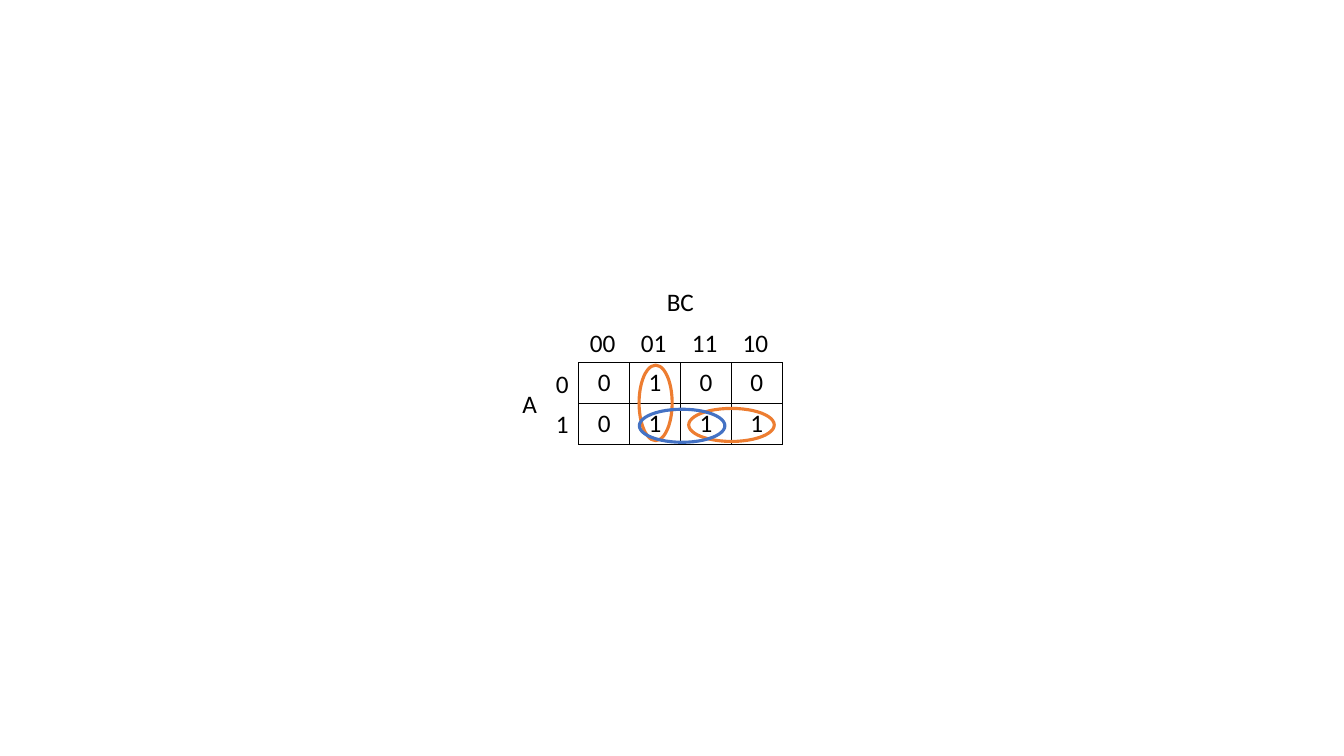
from lxml import etree
from pptx import Presentation
from pptx import util as u
from pptx.dml.color import RGBColor
from pptx.enum import shapes, text
from pptx.oxml.ns import qn

COLORS = {"ink": "000000", "orange": "ED7D31", "blue": "4472C4"}
FONT = "Calibri"
COL, ROW = 0.505, 0.405
MAP_LEFT, MAP_TOP = 5.74, 3.6
BC_CODES = ["00", "01", "11", "10"]
A_CODES = ["0", "1"]
OUTPUTS = ["0100", "0111"]
GROUPS = [
    (1.51, 0.98, 0.65, 1.85, "orange"),
    (3.0, 1.52, 1.68, 0.81, "orange"),
    (2.03, 1.54, 1.68, 0.81, "blue"),
]


def style(frame, words):
    frame.text = words
    paragraph = frame.paragraphs[0]
    paragraph.alignment = text.PP_ALIGN.CENTER
    font = paragraph.runs[0].font
    font.name, font.size = FONT, u.Pt(18)
    font.color.rgb = RGBColor.from_string(COLORS["ink"])


def grid_box(box, col, row, cols, rows):
    left, top = box
    return [u.Inches(n) for n in
            (left + col * COL, top + row * ROW, cols * COL, rows * ROW)]


def add_label(slide, box, words, col, row, cols):
    label = slide.shapes.add_textbox(*grid_box(box, col, row, cols, 1))
    label.text_frame.word_wrap = False
    style(label.text_frame, words)


def border_cell(cell):
    properties = cell._tc.get_or_add_tcPr()
    for position, side in enumerate(("a:lnL", "a:lnR", "a:lnT", "a:lnB")):
        line = etree.Element(qn(side), w=str(u.Pt(1)))
        fill = etree.SubElement(line, qn("a:solidFill"))
        etree.SubElement(fill, qn("a:srgbClr"), val=COLORS["ink"])
        properties.insert(position, line)


def add_cells(slide, box):
    size = len(OUTPUTS), len(BC_CODES)
    table = slide.shapes.add_table(*size, *grid_box(box, 0, 0, size[1], size[0])).table
    table.first_row = table.horz_banding = False
    for column in table.columns:
        column.width = u.Inches(COL)
    for row, outputs in enumerate(OUTPUTS):
        table.rows[row].height = u.Inches(ROW)
        for col, output in enumerate(outputs):
            cell = table.cell(row, col)
            cell.fill.background()
            style(cell.text_frame, output)
            border_cell(cell)


def add_labels(slide, box):
    for col, code in enumerate(BC_CODES):
        add_label(slide, box, code, col - 0.03, -1, 1)
    for row, code in enumerate(A_CODES):
        add_label(slide, box, code, -0.65, row, 0.65)
    add_label(slide, box, "BC", 1.53, -2, 0.93)
    add_label(slide, box, "A", -1.31, 0.5, 0.69)


def add_groups(slide, box):
    for col, row, cols, rows, color in GROUPS:
        group = slide.shapes.add_shape(
            shapes.MSO_SHAPE.OVAL,
            *grid_box(box, col - cols / 2, row - rows / 2, cols, rows))
        group.shadow.inherit = False
        group.fill.background()
        group.line.color.rgb = RGBColor.from_string(COLORS[color])
        group.line.width = u.Pt(2.25)


def build_karnaugh_map(slide, box):
    add_cells(slide, box)
    add_labels(slide, box)
    add_groups(slide, box)


def main():
    deck = Presentation()
    deck.slide_width, deck.slide_height = u.Inches(13.33), u.Inches(7.5)
    slide = deck.slides.add_slide(deck.slide_layouts[6])
    build_karnaugh_map(slide, (MAP_LEFT, MAP_TOP))
    deck.save("out.pptx")


if __name__ == "__main__":
    main()
